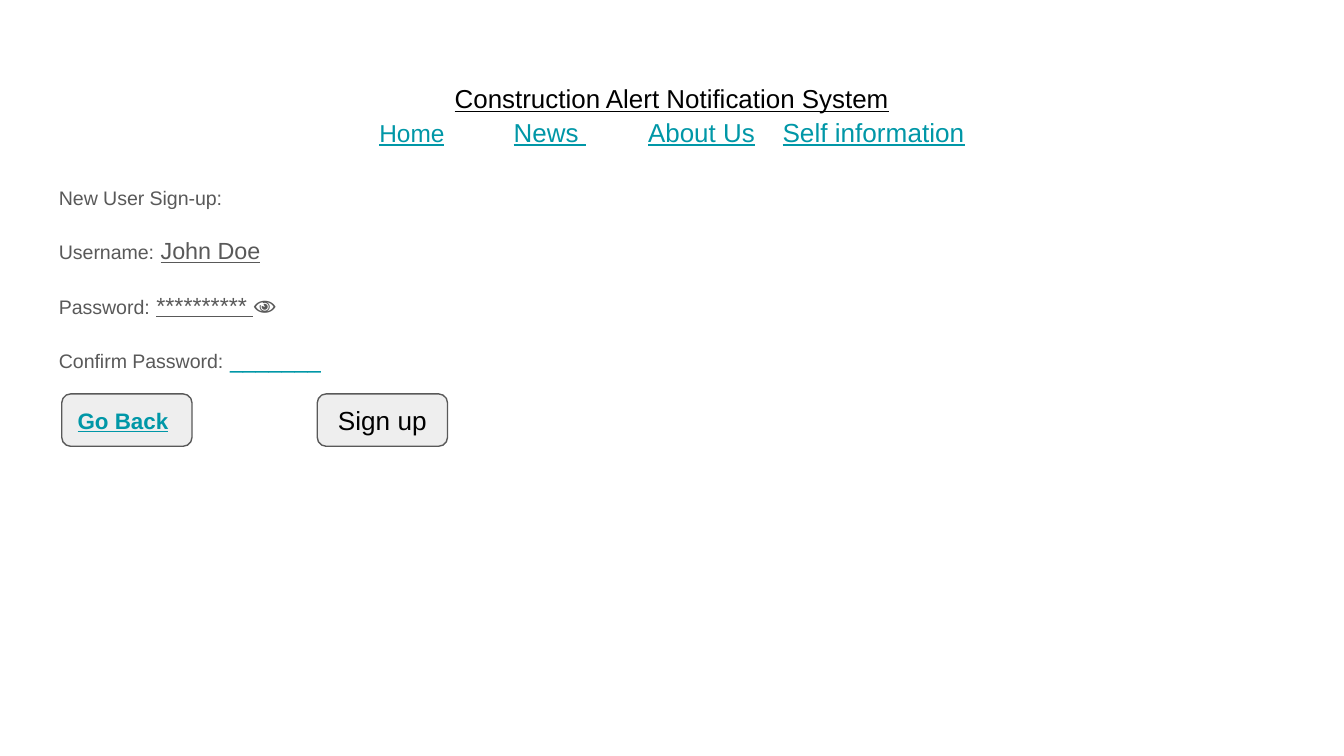
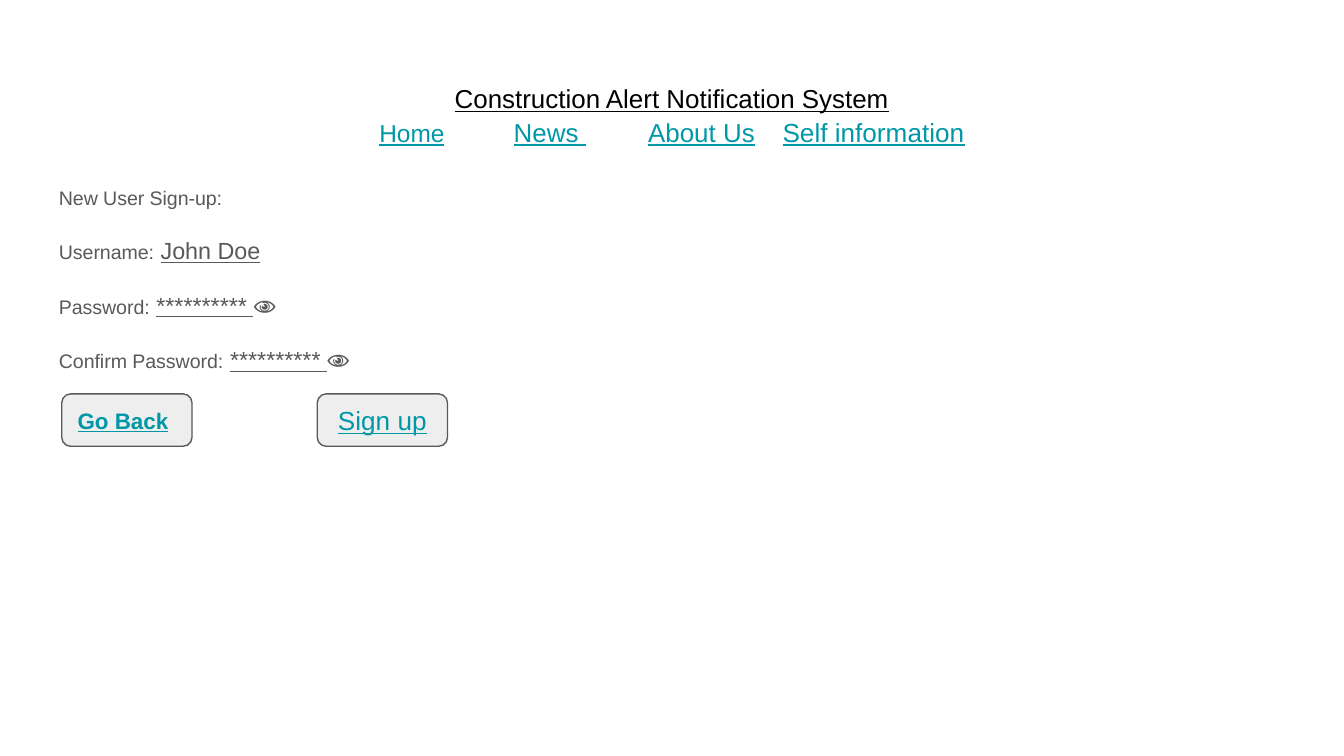
from pptx import Presentation
from pptx.dml.color import RGBColor
from pptx.enum.shapes import MSO_SHAPE as Shape
from pptx.enum.text import MSO_ANCHOR as Anchor, PP_ALIGN as Align
from pptx.util import Pt

BLACK = RGBColor(0x00, 0x00, 0x00)
GREY = RGBColor(0x59, 0x59, 0x59)
TEAL = RGBColor(0x00, 0x97, 0xA7)
PALE = RGBColor(0xEE, 0xEE, 0xEE)
FONT = "Arial"
INSET = 7.2

HEADER_BOX = (24.5, 36, 671, 45.4)
FORM_BOX = (24.5, 90.7, 671, 269.3)
BACK_BOX = (33.1, 211, 69.8, 28.1)
SIGN_UP_BOX = (170, 211, 69.8, 28.1)

LABEL_SIZE = 10.5
ENTRY_SIZE = 12.5
MASKED = [("********** ", ENTRY_SIZE, GREY, True), ("👁", 12, GREY, False)]
UNFILLED = [("_______", ENTRY_SIZE, TEAL, True)]


def add_run(paragraph, text, size, color, underline=False, bold=False):
    run = paragraph.add_run()
    run.text = text
    font = run.font
    font.name = FONT
    font.size = Pt(size)
    font.color.rgb = color
    font.underline = underline
    font.bold = bold


def set_frame(frame, anchor):
    frame.word_wrap = True
    frame.vertical_anchor = anchor
    frame.margin_left = frame.margin_right = Pt(INSET)
    frame.margin_top = frame.margin_bottom = Pt(INSET)


def add_text(slide, box, lines, align, spacing, gap=0):
    frame = slide.shapes.add_textbox(*map(Pt, box)).text_frame
    set_frame(frame, Anchor.TOP)
    for index, runs in enumerate(lines):
        line = frame.paragraphs[0] if index == 0 else frame.add_paragraph()
        line.alignment = align
        line.line_spacing = spacing
        line.space_before = Pt(gap if index else 0)
        for run in runs:
            add_run(line, *run)


def add_header(slide, box):
    title = [("Construction Alert Notification System", 13.9, BLACK, True)]
    menu = [
        ("Home", 13.1, TEAL, True),
        ("\t\t", 13.9, BLACK),
        ("News ", 13.9, TEAL, True),
        ("\t", 13.9, BLACK),
        ("About Us", 13.9, TEAL, True),
        ("\t", 13.9, BLACK),
        ("Self information", 14, TEAL, True),
    ]
    add_text(slide, box, [title, menu], Align.CENTER, 1.07)


def add_form(slide, box, confirmation):
    fields = [
        ("Username:", [("John Doe", ENTRY_SIZE, GREY, True)]),
        ("Password:", MASKED),
        ("Confirm Password:", confirmation),
    ]
    lines = [[("New User Sign-up:", LABEL_SIZE, GREY)]]
    for label, entry in fields:
        lines.append([(label, LABEL_SIZE, GREY), (" ", ENTRY_SIZE, GREY), *entry])
    add_text(slide, box, lines, Align.LEFT, 1.15, 12)


def add_button(slide, box, align, *caption):
    button = slide.shapes.add_shape(Shape.ROUNDED_RECTANGLE, *map(Pt, box))
    button.adjustments[0] = 0.17
    button.shadow.inherit = False
    button.fill.solid()
    button.fill.fore_color.rgb = PALE
    button.line.color.rgb = GREY
    button.line.width = Pt(0.75)
    set_frame(button.text_frame, Anchor.MIDDLE)
    line = button.text_frame.paragraphs[0]
    line.alignment = align
    add_run(line, *caption)


def add_sign_up_slide(deck, confirmation, sign_up_color, sign_up_linked):
    slide = deck.slides.add_slide(deck.slide_layouts[6])
    add_header(slide, HEADER_BOX)
    add_form(slide, FORM_BOX, confirmation)
    add_button(slide, SIGN_UP_BOX, Align.CENTER, "Sign up", 14, sign_up_color, sign_up_linked)
    add_button(slide, BACK_BOX, Align.LEFT, "Go Back", 12, TEAL, True, True)


def main():
    deck = Presentation()
    deck.slide_width = Pt(720)
    deck.slide_height = Pt(405)
    add_sign_up_slide(deck, UNFILLED, BLACK, False)
    add_sign_up_slide(deck, MASKED, TEAL, True)
    deck.save("out.pptx")


if __name__ == "__main__":
    main()
